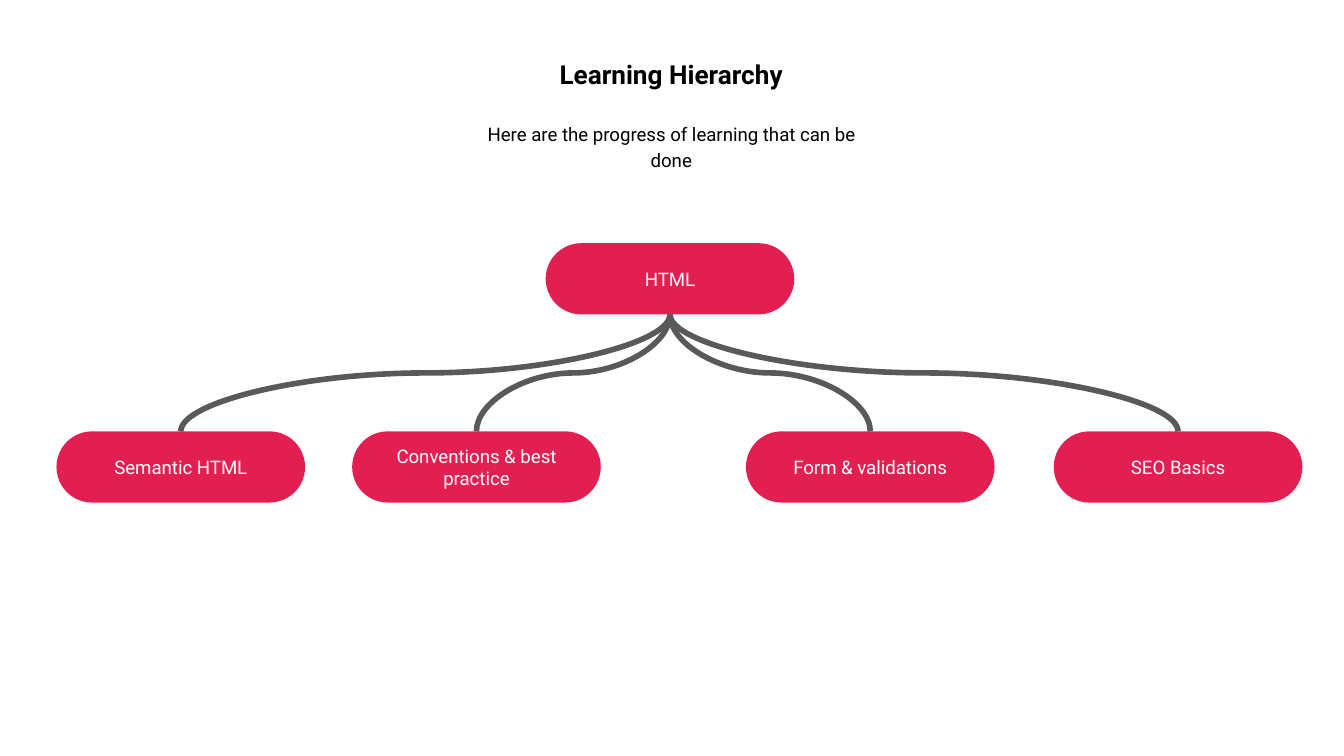
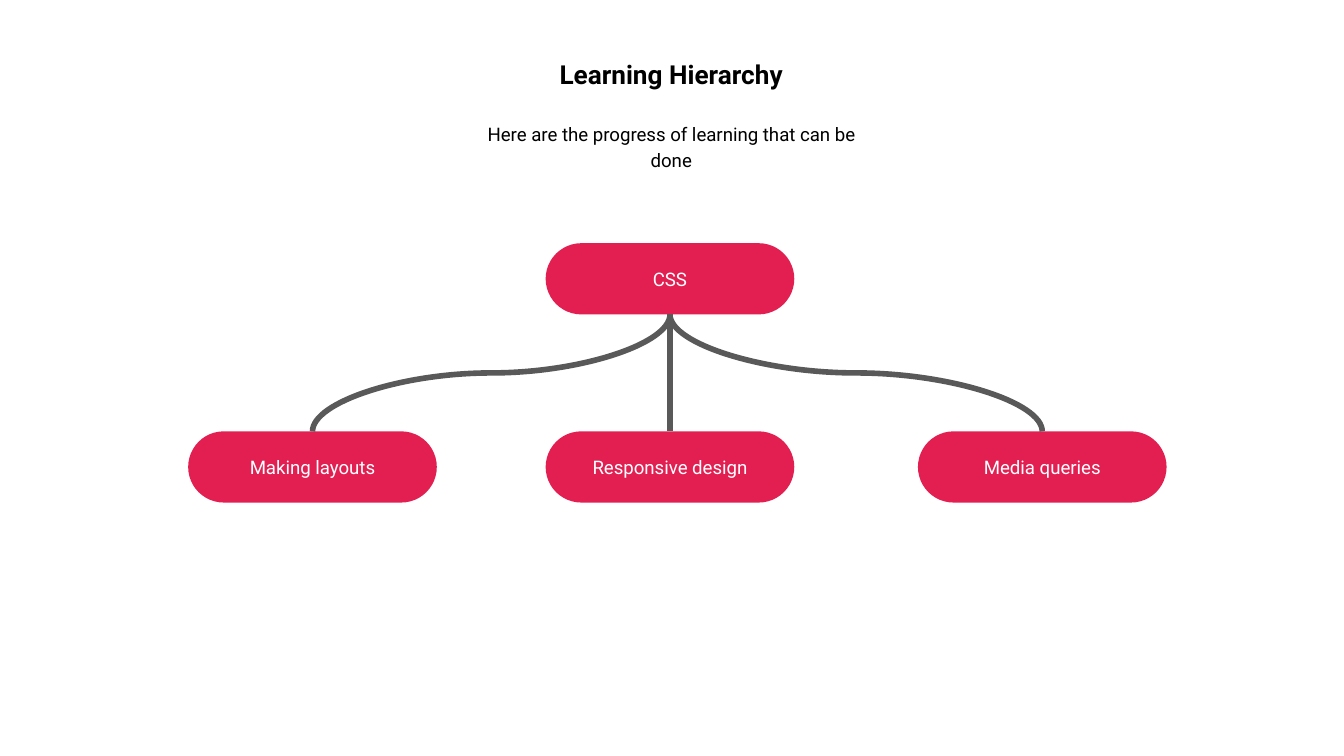
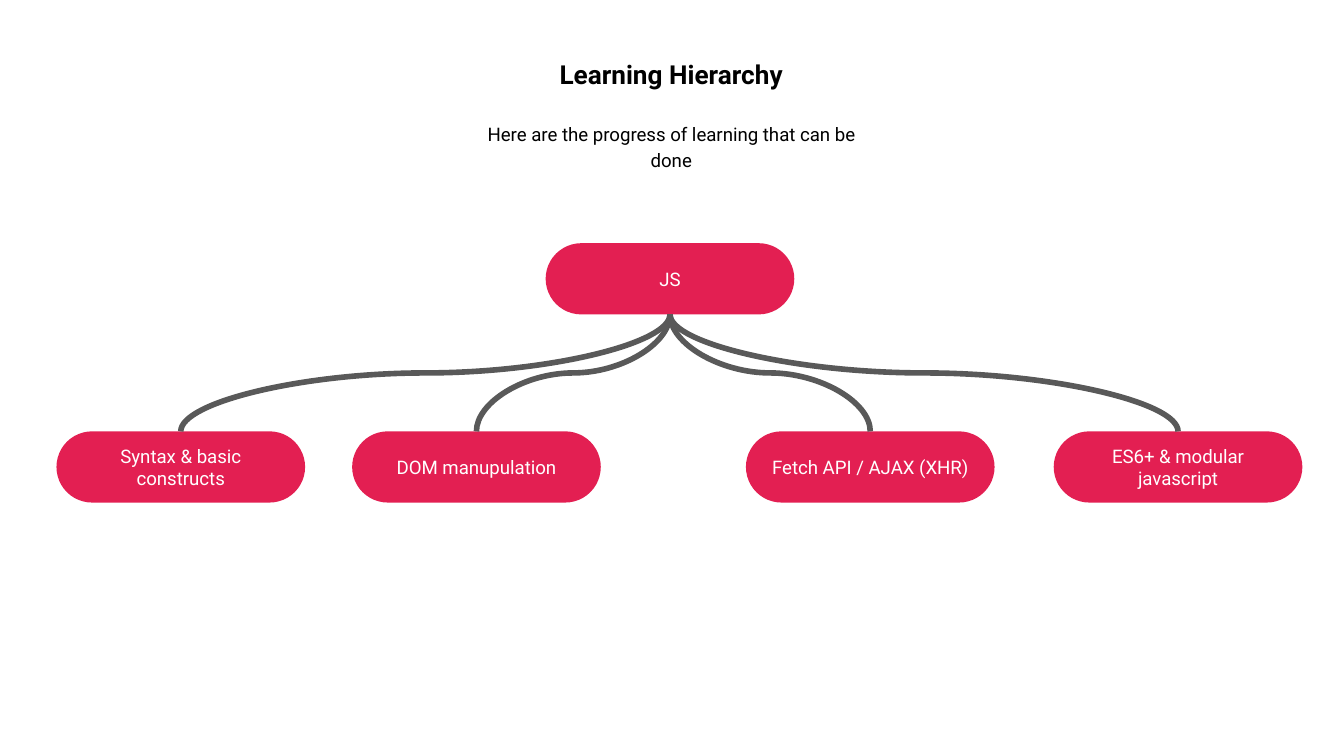
from pptx import Presentation
from pptx.dml.color import RGBColor
from pptx.enum.shapes import MSO_CONNECTOR, MSO_SHAPE
from pptx.enum.text import MSO_ANCHOR, PP_ALIGN
from pptx.oxml import parse_xml
from pptx.oxml.ns import nsdecls
from pptx.util import Inches, Pt

# Theme: colours, type and sizes
theme = {
    "pill": RGBColor(0xE3, 0x1F, 0x52),
    "line": RGBColor(0x59, 0x59, 0x59),
    "ink": RGBColor(0, 0, 0),
    "white": RGBColor(255, 255, 255),
    "font": "Roboto",
    "title": Pt(14),
    "text": Pt(10),
    "stroke": Pt(3),
}
WIDE, HIGH = 1.85, 0.53
ROOT = (4.06, 1.81)
ROW = 3.21

# Text of each tree: root, then children with their left edges
four = (0.42, 2.62, 5.55, 7.84)
three = (1.4, 4.06, 6.83)
trees = [
    ("HTML", four, ("Semantic HTML", "Conventions & best practice",
                    "Form & validations", "SEO Basics")),
    ("CSS", three, ("Making layouts", "Responsive design", "Media queries")),
    ("JS", four, ("Syntax & basic constructs", "DOM manupulation",
                  "Fetch API / AJAX (XHR)", "ES6+ & modular javascript")),
]
heads = [
    ("Learning Hierarchy", theme["title"], True, Pt(0)),
    ("Here are the progress of learning that can be done",
     theme["text"], False, Pt(16)),
]


def style(frame, para, inset, anchor, size, color, bold=False):
    """Set the frame, paragraph and font of one line of text."""
    gap = Inches(inset)
    box = {"word_wrap": True, "vertical_anchor": anchor,
           "margin_left": gap, "margin_right": gap,
           "margin_top": gap, "margin_bottom": gap}
    font = {"name": theme["font"], "size": size, "bold": bold}
    para.alignment = PP_ALIGN.CENTER
    for item, form in ((frame, box), (para.font, font)):
        for key, value in form.items():
            setattr(item, key, value)
    para.font.color.rgb = color


def add_pill(slide, left, top, text):
    """Add a rounded node with centred text."""
    pill = slide.shapes.add_shape(
        MSO_SHAPE.ROUNDED_RECTANGLE,
        Inches(left), Inches(top), Inches(WIDE), Inches(HIGH))
    pill.adjustments[0] = 0.5
    pill.shadow.inherit = False
    pill.fill.solid()
    pill.fill.fore_color.rgb = theme["pill"]
    pill.line.fill.background()
    frame = pill.text_frame
    frame.text = text
    style(frame, frame.paragraphs[0], 0.1, MSO_ANCHOR.MIDDLE,
          theme["text"], theme["white"])
    return pill


# Widescreen, 16 to 9
deck = Presentation()
deck.slide_width = Inches(10)
deck.slide_height = Inches(10 * 9 / 16)

for name, lefts, topics in trees:
    slide = deck.slides.add_slide(deck.slide_layouts[6])

    # Heading and lead line
    box = slide.shapes.add_textbox(
        Inches(3.56), Inches(0.4), Inches(2.87), Inches(1.04))
    frame = box.text_frame
    for i, (text, size, bold, space) in enumerate(heads):
        para = frame.add_paragraph() if i else frame.paragraphs[0]
        para.text = text
        para.line_spacing = 1.15
        if space:
            para.space_before = space
        style(frame, para, 0, MSO_ANCHOR.TOP, size, theme["ink"], bold)

    # Root and children, each joined by a curve
    root = add_pill(slide, *ROOT, name)
    for left, topic in zip(lefts, topics):
        kid = add_pill(slide, left, ROW, topic)
        curve = slide.shapes.add_connector(MSO_CONNECTOR.CURVE, 0, 0, 0, 0)
        curve.begin_connect(root, 2)
        curve.end_connect(kid, 0)
        curve.line.color.rgb = theme["line"]
        curve.line.width = theme["stroke"]

        # Turn the curve a quarter so that it leaves the root downwards
        drop = kid.top - root.top - root.height
        span = abs(kid.left - root.left)
        mid = (root.left + kid.left + root.width) // 2
        curve.left = mid - drop // 2
        curve.top = root.top + root.height + (drop - span) // 2
        curve.width, curve.height = drop, span
        right = kid.left >= root.left
        props = curve._element.spPr
        for key, value in {"rot": (270 if right else 90) * 60000,
                           "flipH": int(right), "flipV": 0}.items():
            props.xfrm.set(key, str(value))
        props.append(parse_xml(f"<a:effectLst {nsdecls('a')}/>"))

deck.save("out.pptx")
